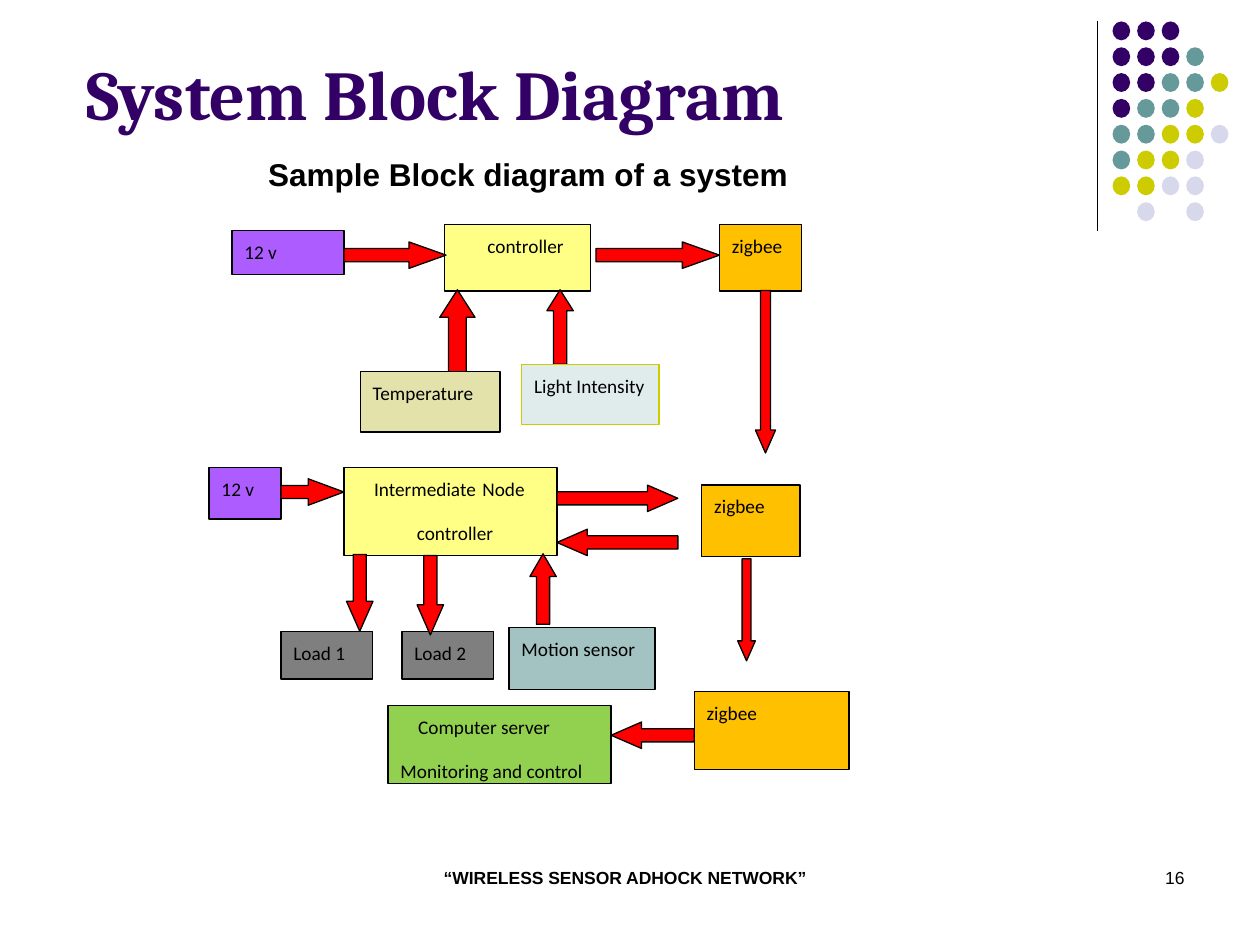
from pptx import Presentation
from pptx.dml.color import RGBColor
from pptx.enum.shapes import MSO_CONNECTOR as Connector, MSO_SHAPE as Shape
from pptx.enum.text import MSO_ANCHOR as Anchor, MSO_AUTO_SIZE as AutoSize, PP_ALIGN as Align
from pptx.util import Inches, Pt
from lxml.etree import SubElement
from pptx.oxml.ns import qn

BLACK = RGBColor(0x00, 0x00, 0x00)
PURPLE = RGBColor(0x33, 0x00, 0x66)
TEAL = RGBColor(0x66, 0x99, 0x99)
OLIVE = RGBColor(0xCC, 0xCC, 0x00)
LAVENDER = RGBColor(0xD8, 0xD8, 0xEC)
RED = RGBColor(0xFF, 0x00, 0x00)
YELLOW = RGBColor(0xFF, 0xFF, 0x85)
AMBER = RGBColor(0xFF, 0xC0, 0x00)
VIOLET = RGBColor(0xAD, 0x5C, 0xFF)
SAND = RGBColor(0xE2, 0xE2, 0xAA)
MIST = RGBColor(0xE0, 0xEB, 0xEB)
SAGE = RGBColor(0xA3, 0xC2, 0xC2)
GRAY = RGBColor(0x7F, 0x7F, 0x7F)
GREEN = RGBColor(0x92, 0xD0, 0x50)

DOT_COLORS = {"P": PURPLE, "T": TEAL, "O": OLIVE, "L": LAVENDER}
DOT_ROWS = ["PPP", "PPPT", "PPTTO", "PTTO", "TTOOL", "TOOL", "OOLL", ".L.L"]
NODE_TAB = 1.07

# Each block: place, fill, outline, lines as (first-line indent, text)
UPPER_NODES = [
    ((3.53, 1.78, 1.16, 0.53), YELLOW, BLACK, [(0.24, "controller")]),
    ((5.71, 1.78, 0.65, 0.53), AMBER, BLACK, [(0, "zigbee")]),
    ((1.84, 1.83, 0.89, 0.35), VIOLET, BLACK, [(0, "12 v")]),
]
UPPER_FLOWS = [
    ((2.73, 1.92, 0.81, 0.21), 0, 1.4),
    ((4.73, 1.92, 0.98, 0.21), 0, 1.4),
    ((4.15, 2.49, 0.59, 0.21), 270, 0.79),
    ((3.26, 2.53, 0.74, 0.28), 270, 0.78),
]
LOWER_NODES = [
    ((2.86, 2.95, 1.11, 0.48), SAND, BLACK, [(0, "Temperature")]),
    ((4.14, 2.89, 1.09, 0.48), MIST, OLIVE, [(0, "Light Intensity")]),
    ((2.73, 3.71, 1.69, 0.7), YELLOW, BLACK,
     [(0.14, "Intermediate\tNode"), (0.48, "controller")]),
    ((1.66, 3.71, 0.57, 0.41), VIOLET, BLACK, [(0, "12 v")]),
    ((5.57, 3.85, 0.78, 0.57), AMBER, BLACK, [(0, "zigbee")]),
    ((4.04, 4.98, 1.16, 0.49), SAGE, BLACK, [(0, "Motion sensor")]),
    ((3.19, 5.01, 0.73, 0.38), GRAY, BLACK, [(0, "Load 2")]),
    ((2.23, 5.01, 0.73, 0.38), GRAY, BLACK, [(0, "Load 1")]),
    ((3.08, 5.6, 1.77, 0.62), GREEN, BLACK,
     [(0.14, "Computer server"), (0, "Monitoring and control")]),
    ((5.51, 5.49, 1.23, 0.62), AMBER, BLACK, [(0, "zigbee")]),
]
LOWER_FLOWS = [
    ((2.23, 3.8, 0.5, 0.21), 0, 1.35),
    ((4.42, 4.2, 0.96, 0.21), 180, 1.15),
    ((4.03, 4.57, 0.56, 0.21), 270, 0.86),
    ((3.1, 4.62, 0.63, 0.21), 90, 1.14),
    ((2.55, 4.6, 0.61, 0.21), 90, 1.13),
    ((4.42, 3.85, 0.96, 0.21), 0, 1.15),
    ((5.43, 2.87, 1.29, 0.16), 90, 1.14),
    ((4.85, 5.73, 0.66, 0.21), 180, 1.15),
    ((5.52, 4.77, 0.81, 0.14), 90, 1.13),
]


def set_font(paragraph, name, size, color=BLACK, bold=False):
    """Format a whole paragraph."""
    font = paragraph.font
    font.name, font.size, font.bold = name, Pt(size), bold
    font.color.rgb = color


def add_filled(slide, kind, place, fill, outline=None):
    """Add a flat preset shape, outlined when a colour is given."""
    shape = slide.shapes.add_shape(kind, *map(Inches, place))
    shape.shadow.inherit = False
    shape.fill.solid()
    shape.fill.fore_color.rgb = fill
    if outline is None:
        shape.line.fill.background()
    else:
        shape.line.color.rgb = outline
        shape.line.width = Pt(0.75)
    return shape


def add_block(slide, place, fill, outline, lines):
    """Add a labelled block of the diagram."""
    frame = add_filled(slide, Shape.RECTANGLE, place, fill, outline).text_frame
    frame.word_wrap = True
    frame.vertical_anchor = Anchor.TOP
    for number, (indent, text) in enumerate(lines):
        paragraph = frame.add_paragraph() if number else frame.paragraphs[0]
        paragraph.text = text
        paragraph.alignment = Align.LEFT
        paragraph.line_spacing = 1.15
        paragraph.space_after = Pt(10)
        properties = paragraph._p.get_or_add_pPr()
        properties.set("marL", "0")
        properties.set("indent", str(Inches(indent)))
        if "\t" in text:
            tabs = SubElement(properties, qn("a:tabLst"))
            SubElement(tabs, qn("a:tab"), pos=str(Inches(NODE_TAB)), algn="l")
        set_font(paragraph, "Calibri", 11)


def add_flow(slide, place, rotation, head):
    """Add a red block arrow turned to its direction."""
    arrow = add_filled(slide, Shape.RIGHT_ARROW, place, RED, BLACK)
    arrow.rotation = rotation
    arrow.adjustments[1] = head


def add_label(slide, place, text, size, align, bold=False):
    """Add a line of plain text."""
    frame = slide.shapes.add_textbox(*map(Inches, place)).text_frame
    frame.word_wrap = True
    paragraph = frame.paragraphs[0]
    paragraph.text = text
    paragraph.alignment = align
    set_font(paragraph, "Arial", size, bold=bold)


def add_dot_ornament(slide):
    """Draw the corner rule and its grid of dots."""
    rule = slide.shapes.add_connector(
        Connector.STRAIGHT, Inches(8.71), Inches(0.17), Inches(8.71), Inches(1.83))
    rule.line.color.rgb = BLACK
    rule.line.width = Pt(0.75)
    SubElement(rule._element.spPr, qn("a:effectLst"))
    for row, codes in enumerate(DOT_ROWS):
        for column, code in enumerate(codes):
            if code in DOT_COLORS:
                place = (8.83 + column * 0.195, 0.17 + row * 0.205, 0.14, 0.15)
                add_filled(slide, Shape.OVAL, place, DOT_COLORS[code])


def set_title(slide, text):
    """Place and format the slide title."""
    title = slide.shapes.title
    title.left, title.top, title.width, title.height = map(Inches, (0.59, -0.08, 7.92, 1.2))
    frame = title.text_frame
    frame.text = text
    frame.auto_size = AutoSize.NONE
    frame.vertical_anchor = Anchor.BOTTOM
    frame.paragraphs[0].alignment = Align.LEFT
    set_font(frame.paragraphs[0], "Cambria", 40, PURPLE, bold=True)


def main():
    """Build the block diagram slide."""
    deck = Presentation()
    deck.slide_width, deck.slide_height = Inches(10), Inches(7.5)
    slide = deck.slides.add_slide(deck.slide_layouts[5])
    add_dot_ornament(slide)
    set_title(slide, "System Block Diagram")
    add_label(slide, (3, 6.83, 3.92, 0.5), "“WIRELESS SENSOR ADHOCK NETWORK”",
              10, Align.CENTER, bold=True)
    add_label(slide, (7.17, 6.83, 2.33, 0.5), "16", 10, Align.RIGHT)
    add_label(slide, (2.03, 1.18, 4.83, 0.4), "Sample Block diagram of a system",
              18, Align.LEFT, bold=True)
    for nodes, flows in ((UPPER_NODES, UPPER_FLOWS), (LOWER_NODES, LOWER_FLOWS)):
        for node in nodes:
            add_block(slide, *node)
        for flow in flows:
            add_flow(slide, *flow)
    deck.save("out.pptx")


if __name__ == "__main__":
    main()
